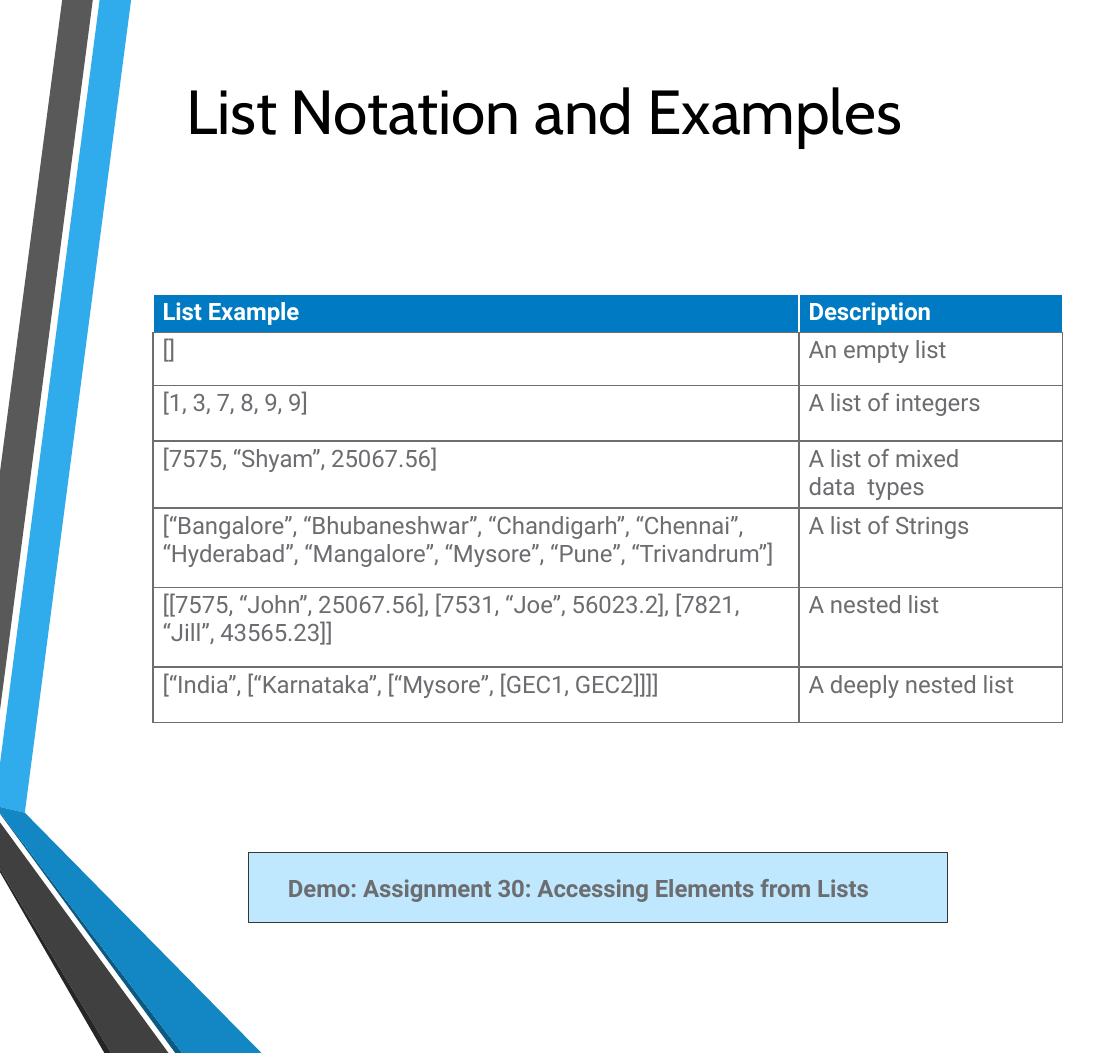
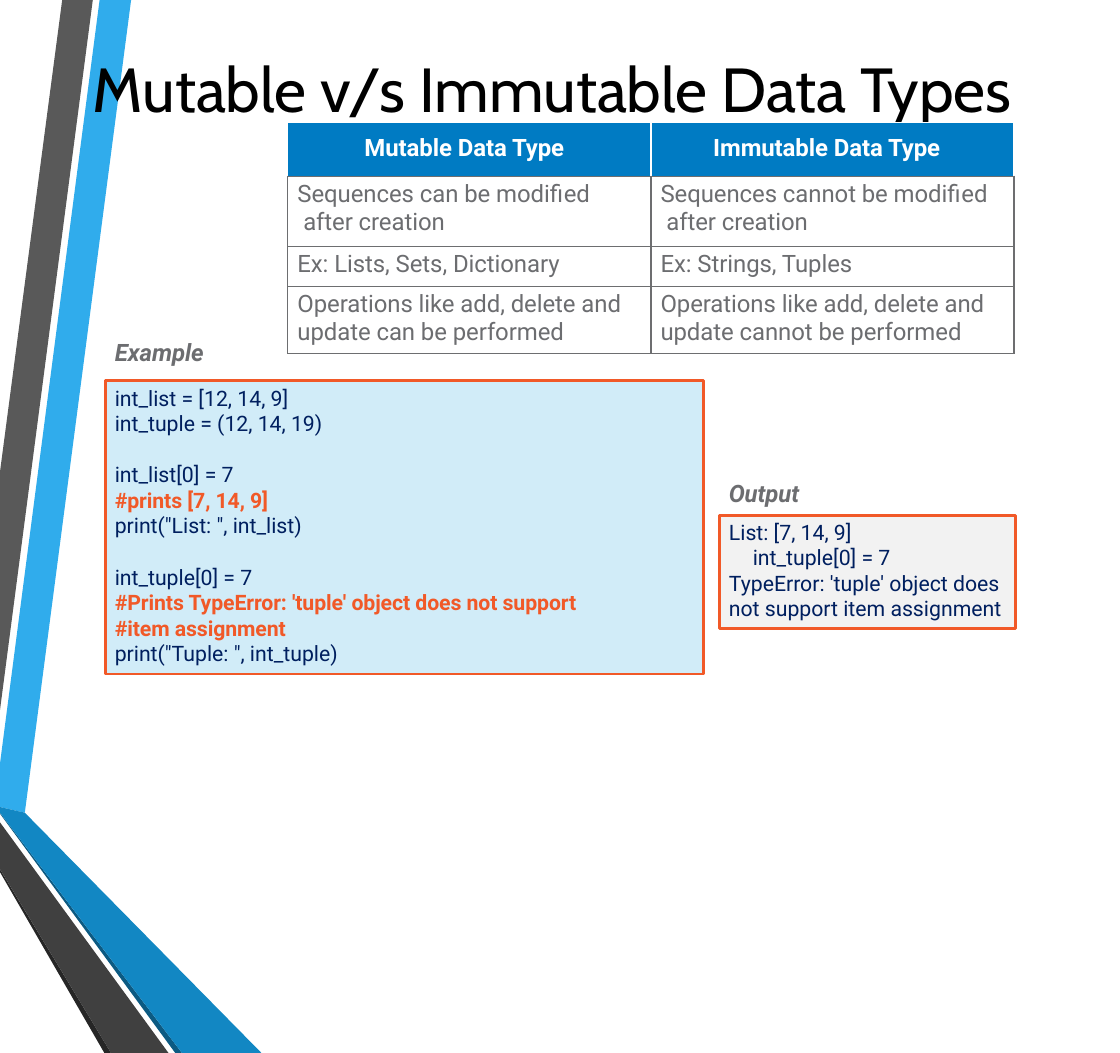
from dataclasses import dataclass

from lxml import etree
from pptx import Presentation
from pptx.dml.color import RGBColor
from pptx.enum.shapes import MSO_SHAPE
from pptx.enum.text import MSO_ANCHOR, PP_ALIGN
from pptx.oxml.ns import qn
from pptx.util import Pt

RECT = MSO_SHAPE.RECTANGLE
TOP, MIDDLE = MSO_ANCHOR.TOP, MSO_ANCHOR.MIDDLE
LEFT, CENTER = PP_ALIGN.LEFT, PP_ALIGN.CENTER

COLORS = {
    "title": "000000", "white": "FFFFFF", "body": "6C6D70", "border": "6D6E70",
    "header": "007BC3", "demo": "BFE8FF", "demo_line": "353638",
    "code": "001F5F", "code_bg": "D1ECF8", "output_bg": "F2F2F2", "accent": "F15928",
    "sky": "30ACEC", "grey": "595959", "black": "262626",
    "navy": "0C5A82", "blue": "1287C3", "charcoal": "404040",
}
TITLE_FONT, BODY_FONT = "Cabin", "Roboto"
SLIDE_W, SLIDE_H = 842, 792

# Decorative bands at the left edge: colour and corner points
BANDS = [
    ("sky", [(0, 574.5), (0, 607), (18.7, 611.3), (98.6, 0), (74.9, 0)]),
    ("grey", [(69.8, 0), (46.8, 0), (0, 355), (0, 534.2)]),
    ("black", [(0, 653.8), (0, 655.9), (78.5, SLIDE_H), (83.5, SLIDE_H)]),
    ("navy", [(0, 611.3), (0, 612), (131.8, SLIDE_H), (136.8, SLIDE_H)]),
    ("blue", [(0, 611.3), (136.8, SLIDE_H), (196.6, SLIDE_H), (18.7, 611.3), (0, 607)]),
    ("charcoal", [(0, 653.8), (83.5, SLIDE_H), (126.7, SLIDE_H), (0, 618.5)]),
]


@dataclass
class Style:
    size: float = 18
    color: str = "body"
    bold: bool = False
    italic: bool = False
    font: str = BODY_FONT
    spacing: float = -0.05


@dataclass
class Box:
    x: float
    y: float
    w: float
    h: float


@dataclass
class Line:
    text: str
    before: float = 0
    indent: float = 0


@dataclass
class Panel:
    box: Box
    fill: str
    line: str
    line_width: float
    lines: list[Line]
    style: Style
    anchor: MSO_ANCHOR = TOP
    margin: float = 7.2


@dataclass
class Grid:
    x: float
    y: float
    cols: list[float]
    rows: list[float]
    cells: list[list[str]]
    header_margins: list[float]
    header_top: float


TITLE = Style(46.8, "title", font=TITLE_FONT)
HEADER = Style(color="white", bold=True)
BODY = Style()
DEMO = Style(bold=True)
LABEL = Style(bold=True, italic=True)
CODE = Style(16, "code", spacing=0)
COMMENT = Style(16, "accent", bold=True)


def rgb(name: str) -> RGBColor:
    return RGBColor.from_string(COLORS[name])


def format_runs(p, style: Style) -> None:
    for r in p.runs:
        r.font.size, r.font.name = Pt(style.size), style.font
        r.font.bold, r.font.italic = style.bold, style.italic
        r.font.color.rgb = rgb(style.color)
        r._r.get_or_add_rPr().set("spc", str(round(style.spacing * 100)))
    for br in p._p.findall(qn("a:br")):
        etree.SubElement(br, qn("a:rPr")).set("sz", str(round(style.size * 100)))


def set_margins(target, left: float, top: float) -> None:
    target.margin_left, target.margin_top = Pt(left), Pt(top)
    target.margin_right = target.margin_bottom = 0


def add_bands(s) -> None:
    for color, points in BANDS:
        corners = [(Pt(x), Pt(y)) for x, y in points]
        builder = s.shapes.build_freeform(*corners[0])
        builder.add_line_segments(corners[1:], close=True)
        sp = builder.convert_to_shape()
        sp.shadow.inherit = False
        sp.fill.solid()
        sp.fill.fore_color.rgb = rgb(color)
        sp.line.fill.background()


def add_text(s, box: Box, text: str, style: Style, align=LEFT, anchor=TOP) -> None:
    sp = s.shapes.add_textbox(Pt(box.x), Pt(box.y), Pt(box.w), Pt(box.h))
    tf = sp.text_frame
    tf.word_wrap = True
    tf.vertical_anchor = anchor
    set_margins(tf, 0.7, 1)
    tf.text = text
    p = tf.paragraphs[0]
    p.alignment = align
    format_runs(p, style)


def add_panel(s, panel: Panel) -> None:
    box = panel.box
    sp = s.shapes.add_shape(RECT, Pt(box.x), Pt(box.y), Pt(box.w), Pt(box.h))
    sp.shadow.inherit = False
    sp.fill.solid()
    sp.fill.fore_color.rgb = rgb(panel.fill)
    sp.line.color.rgb = rgb(panel.line)
    sp.line.width = Pt(panel.line_width)
    tf = sp.text_frame
    tf.word_wrap = True
    tf.vertical_anchor = panel.anchor
    set_margins(tf, panel.margin, 3 if panel.anchor == TOP else 0)
    for i, line in enumerate(panel.lines):
        p = tf.add_paragraph() if i else tf.paragraphs[0]
        p.text = line.text
        p.alignment = LEFT
        p.space_before = Pt(line.before)
        p._p.get_or_add_pPr().set("marL", str(Pt(line.indent)))
        format_runs(p, COMMENT if line.text.startswith("#") else panel.style)


def set_borders(cell, colors: dict[str, str]) -> None:
    tcPr = cell._tc.get_or_add_tcPr()
    for i, (side, color) in enumerate(colors.items()):
        ln = etree.Element(qn(f"a:ln{side}"), w=str(Pt(1)))
        fill = etree.SubElement(ln, qn("a:solidFill"))
        etree.SubElement(fill, qn("a:srgbClr")).set("val", COLORS[color])
        tcPr.insert(i, ln)


def add_grid(s, grid: Grid) -> None:
    frame = s.shapes.add_table(len(grid.rows), len(grid.cols), Pt(grid.x), Pt(grid.y),
                               Pt(sum(grid.cols)), Pt(sum(grid.rows)))
    table = frame.table
    table.first_row = table.horz_banding = False
    for column, width in zip(table.columns, grid.cols):
        column.width = Pt(width)
    for i, (row, height) in enumerate(zip(table.rows, grid.rows)):
        row.height = Pt(height)
        is_header = i == 0
        edge = "white" if is_header else "border"
        for j, cell in enumerate(row.cells):
            cell.text = grid.cells[i][j]
            if is_header:
                set_margins(cell, grid.header_margins[j], grid.header_top)
                cell.fill.solid()
                cell.fill.fore_color.rgb = rgb("header")
            else:
                set_margins(cell, 7.2, 3)
                cell.fill.background()
            for p in cell.text_frame.paragraphs:
                format_runs(p, HEADER if is_header else BODY)
            set_borders(cell, {"L": edge, "R": edge, "T": edge, "B": "border"})


def add_base_slide(prs, title: str, box: Box):
    s = prs.slides.add_slide(prs.slide_layouts[6])
    add_bands(s)
    add_text(s, box, title, TITLE, CENTER, MIDDLE)
    return s


# Slide 1: list notation
LIST_GRID = Grid(
    115, 221.5, [485.7, 198], [28.8, 39.6, 41.8, 50.4, 59.8, 59.8, 41.8],
    [
        ["List Example", "Description"],
        ["[]", "An empty list"],
        ["[1, 3, 7, 8, 9, 9]", "A list of integers"],
        ["[7575, “Shyam”, 25067.56]", "A list of mixed\vdata  types"],
        ["[“Bangalore”, “Bhubaneshwar”, “Chandigarh”, “Chennai”,\v"
         "“Hyderabad”, “Mangalore”, “Mysore”, “Pune”, “Trivandrum”]", "A list of Strings"],
        ["[[7575, “John”, 25067.56], [7531, “Joe”, 56023.2], [7821,\n"
         "“Jill”, 43565.23]]", "A nested list"],
        ["[“India”, [“Karnataka”, [“Mysore”, [GEC1, GEC2]]]]", "A deeply nested list"],
    ],
    header_margins=[7.2, 7.2], header_top=3)
DEMO_PANEL = Panel(
    Box(187, 641.6, 525, 52.6), "demo", "demo_line", 0.75,
    [Line("Demo: Assignment 30: Accessing Elements from Lists")], DEMO, MIDDLE, 29.5)

# Slide 2: mutable and immutable types
TYPE_GRID = Grid(
    216.4, 91.8, [273, 273], [40.8, 52.6, 30.2, 50.4],
    [
        ["Mutable Data Type", "Immutable Data Type"],
        ["Sequences can be modified\v after creation",
         "Sequences cannot be modified\v after creation"],
        ["Ex: Lists, Sets, Dictionary", "Ex: Strings, Tuples"],
        ["Operations like add, delete and\vupdate can be performed",
         "Operations like add, delete and\vupdate cannot be performed"],
    ],
    header_margins=[57.6, 46.8], header_top=9.2)
BLOCK_GAP = 19.5
CODE_PANELS = [
    Panel(Box(79.2, 286.4, 450, 220.6), "code_bg", "accent", 2.25, [
        Line("int_list = [12, 14, 9]"),
        Line("int_tuple = (12, 14, 19)"),
        Line("int_list[0] = 7", BLOCK_GAP),
        Line("#prints [7, 14, 9]"),
        Line('print("List: ", int_list)'),
        Line("int_tuple[0] = 7", BLOCK_GAP),
        Line("#Prints TypeError: 'tuple' object does not support\v#item assignment"),
        Line('print("Tuple: ", int_tuple)'),
    ], CODE),
    Panel(Box(540.9, 387.5, 222.5, 85), "output_bg", "accent", 2.25, [
        Line("List: [7, 14, 9]"),
        Line("int_tuple[0] = 7", indent=18),
        Line("TypeError: 'tuple' object does\vnot support item assignment"),
    ], CODE),
]
LABELS = [("Example", Box(85.7, 252.7, 78, 23.8)), ("Output", Box(547.2, 359.3, 64, 23.8))]


def main() -> None:
    prs = Presentation()
    prs.slide_width, prs.slide_height = Pt(SLIDE_W), Pt(SLIDE_H)

    s = add_base_slide(prs, "List Notation and Examples", Box(84.2, 53.3, 648.7, 57.6))
    add_grid(s, LIST_GRID)
    add_panel(s, DEMO_PANEL)

    s = add_base_slide(prs, "Mutable v/s Immutable Data Types", Box(67, 36.7, 695.5, 57.6))
    add_grid(s, TYPE_GRID)
    for panel in CODE_PANELS:
        add_panel(s, panel)
    for text, box in LABELS:
        add_text(s, box, text, LABEL)

    prs.save("out.pptx")


if __name__ == "__main__":
    main()
